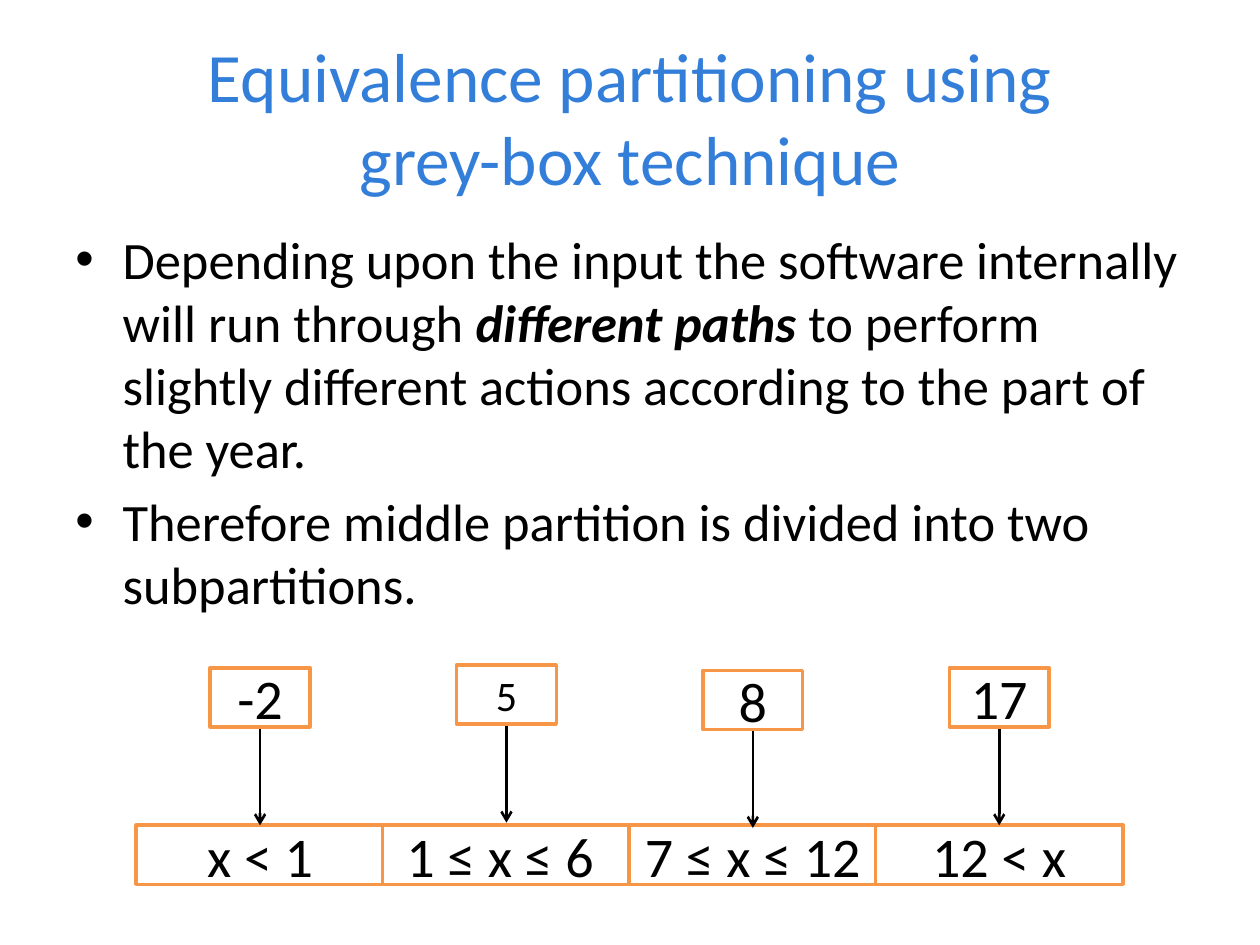
from dataclasses import dataclass

from lxml import etree
from pptx import Presentation
from pptx import util as u
from pptx.dml.color import RGBColor
from pptx.enum import shapes, text
from pptx.oxml import ns

Pt = u.Pt
FONT, BLACK, WHITE, BLUE, ORANGE = "Calibri", "000000", "FFFFFF", "337ED9", "F79646"
LEFT, PITCH, WIDE = 77.8, 140.8, 141.6
ROW, HIGH = 471.6, 33.8
BOX, DROP = 57, 56.2


@dataclass
class Part:
    label: str
    value: str
    shift: float = 0
    size: float = 32


PARTS = [
    Part("x < 1", "-2"),
    Part("1 ≤ x ≤ 6 ", "5", -1.5, 24),
    Part("7 ≤ x ≤ 12", "8", 1.5),
    Part("12 < x", "17"),
]
POINTS = [
    [
        ("Depending upon the input the software internally will run through ", False),
        ("different paths ", True),
        ("to perform slightly different actions according to the part of the year.", False),
    ],
    [("Therefore middle partition is divided into two subpartitions.", False)],
]


def tint(code: str) -> RGBColor:
    return RGBColor.from_string(code)


def write(para, words: str, size: float, code: str = BLACK, strong: bool = False) -> None:
    run = para.add_run()
    run.text = words
    font = run.font
    font.name, font.size = FONT, Pt(size)
    font.bold = font.italic = strong
    font.color.rgb = tint(code)


def frame(slide, x: float, y: float, w: float, h: float):
    """Add a wrapping text box and return its text frame."""
    area = slide.shapes.add_textbox(Pt(x), Pt(y), Pt(w), Pt(h)).text_frame
    area.word_wrap = True
    return area


def title(slide) -> None:
    area = frame(slide, 36, 21.6, 648, 90)
    area.vertical_anchor = text.MSO_ANCHOR.MIDDLE
    para = area.paragraphs[0]
    para.alignment = text.PP_ALIGN.CENTER
    write(para, "Equivalence partitioning using", 39.6, BLUE)
    para.add_line_break()
    write(para, "grey-box technique", 39.6, BLUE)


def bullet(para) -> None:
    props = para._p.get_or_add_pPr()
    props.set("marL", str(Pt(27)))
    props.set("indent", str(-Pt(27)))
    etree.SubElement(props, ns.qn("a:buFont"), typeface="Arial")
    etree.SubElement(props, ns.qn("a:buChar"), char="•")


def body(slide) -> None:
    area = frame(slide, 36, 126, 648, 356.4)
    for i, runs in enumerate(POINTS):
        para = area.add_paragraph() if i else area.paragraphs[0]
        bullet(para)
        if i:
            para.space_before = Pt(6)
        for words, strong in runs:
            write(para, words, 30, strong=strong)


def box(slide, x: float, y: float, w: float, words: str, size: float) -> None:
    shape = slide.shapes.add_shape(
        shapes.MSO_SHAPE.RECTANGLE, Pt(x), Pt(y), Pt(w), Pt(HIGH))
    shape.shadow.inherit = False
    shape.fill.solid()
    shape.fill.fore_color.rgb = tint(WHITE)
    shape.line.color.rgb = tint(ORANGE)
    shape.line.width = Pt(2)
    area = shape.text_frame
    area.word_wrap = True
    area.vertical_anchor = text.MSO_ANCHOR.MIDDLE
    para = area.paragraphs[0]
    para.alignment = text.PP_ALIGN.CENTER
    write(para, words, size)


def arrow(slide, x: float, y: float) -> None:
    """Draw a downward arrow that starts at the given point."""
    line = slide.shapes.add_connector(
        shapes.MSO_CONNECTOR.STRAIGHT, Pt(x), Pt(y), Pt(x), Pt(y + DROP))
    line.line.color.rgb = tint(BLACK)
    line.line.width = Pt(1.5)
    etree.SubElement(line.line._get_or_add_ln(), ns.qn("a:tailEnd"), type="arrow")
    etree.SubElement(line._element.spPr, ns.qn("a:effectLst"))


def column(slide, i: int, part: Part) -> None:
    """Draw one partition with its test value and arrow."""
    x = LEFT + i * PITCH
    mid = x + WIDE / 2
    foot = ROW - DROP + part.shift
    box(slide, x, ROW, WIDE, part.label, 32)
    arrow(slide, mid, foot)
    box(slide, mid - BOX / 2, foot - HIGH, BOX, part.value, part.size)


def main() -> None:
    deck = Presentation()
    deck.slide_width, deck.slide_height = Pt(720), Pt(540)
    slide = deck.slides.add_slide(deck.slide_layouts[6])
    title(slide)
    body(slide)
    for i, part in enumerate(PARTS):
        column(slide, i, part)
    deck.save("out.pptx")


if __name__ == "__main__":
    main()
